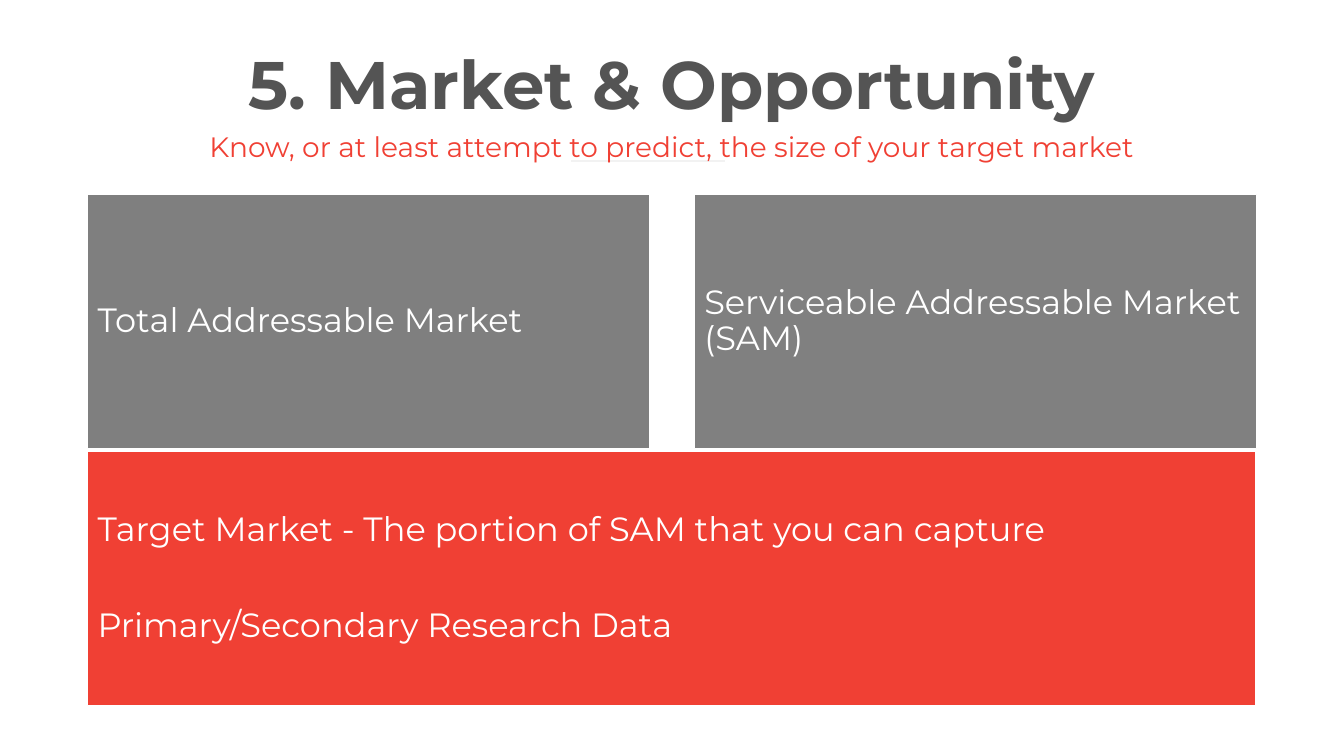
from lxml import etree
from pptx import Presentation
from pptx import util as u
from pptx.dml.color import RGBColor
from pptx.enum import shapes, text
from pptx.oxml.ns import qn

FONT = "Montserrat"
COLORS = {
    "title": "545454",
    "accent": "F04034",
    "total": "7F7F7F",
    "serviceable": "808080",
    "white": "FFFFFF",
    "rule": "F2F2F2",
}


def rgb(name):
    return RGBColor.from_string(COLORS[name])


def place(sp, left, top, width, height):
    sp.left, sp.top = u.Cm(left), u.Cm(top)
    sp.width, sp.height = u.Cm(width), u.Cm(height)


def format_text(tf, size, color, align, spacing=1.0, gap=0, bold=False):
    tf.word_wrap = True
    for i, p in enumerate(tf.paragraphs):
        p.alignment = align
        p.line_spacing = spacing
        p.space_before = u.Pt(gap if i else 0)
        for r in p.runs:
            r.font.name = FONT
            r.font.size = u.Pt(size)
            r.font.bold = bold
            r.font.color.rgb = rgb(color)


def add_rule(s, left, right, y):
    line = s.shapes.add_connector(
        shapes.MSO_CONNECTOR.STRAIGHT, u.Cm(left), u.Cm(y), u.Cm(right), u.Cm(y))
    line.line.color.rgb = rgb("rule")
    line.line.width = u.Pt(2)
    etree.SubElement(line._element.spPr, qn("a:effectLst"))


def set_title(s, content):
    sp = s.shapes.title
    place(sp, 0.53, 1.32, 32.8, 1.9)
    tf = sp.text_frame
    tf.text = content
    tf.auto_size = text.MSO_AUTO_SIZE.NONE
    tf.vertical_anchor = text.MSO_ANCHOR.TOP
    format_text(tf, 48, "title", text.PP_ALIGN.CENTER, spacing=0.8, bold=True)


def add_subtitle(s, content):
    sp = s.shapes.add_textbox(u.Cm(4.75), u.Cm(3.15), u.Cm(24.36), u.Cm(1.12))
    sp.text_frame.text = content
    format_text(sp.text_frame, 20, "accent", text.PP_ALIGN.CENTER)


def add_panel(s, content, fill, left, top, width, height):
    sp = s.shapes.add_shape(
        shapes.MSO_SHAPE.RECTANGLE, u.Cm(left), u.Cm(top), u.Cm(width), u.Cm(height))
    sp.shadow.inherit = False
    sp.fill.solid()
    sp.fill.fore_color.rgb = rgb(fill)
    sp.line.color.rgb = rgb("white")
    sp.line.width = u.Pt(1)
    tf = sp.text_frame
    tf.text = content
    tf.vertical_anchor = text.MSO_ANCHOR.MIDDLE
    tf.margin_left = tf.margin_right = tf.margin_top = tf.margin_bottom = u.Cm(0.25)
    format_text(tf, 24, "white", text.PP_ALIGN.LEFT, spacing=0.9, gap=42)


def main():
    prs = Presentation()
    prs.slide_width, prs.slide_height = u.Cm(33.87), u.Cm(19.05)
    s = prs.slides.add_slide(prs.slide_layouts[5])

    set_title(s, "5. Market & Opportunity")
    add_rule(s, 14.4, 18.26, 4.06)
    add_subtitle(s, "Know, or at least attempt to predict, the size of your target market")

    left, top, width, height = 2.21, 4.9, 14.17, 6.4
    add_panel(s, "Total Addressable Market", "total", left, top, width, height)
    add_panel(s, "Serviceable Addressable Market (SAM)", "serviceable",
              17.5, top, width, height)
    add_panel(s, "Target Market - The portion of SAM that you can capture\n"
              "Primary/Secondary Research Data", "accent", left, 11.38, 29.44, height)

    prs.save("out.pptx")


if __name__ == "__main__":
    main()
